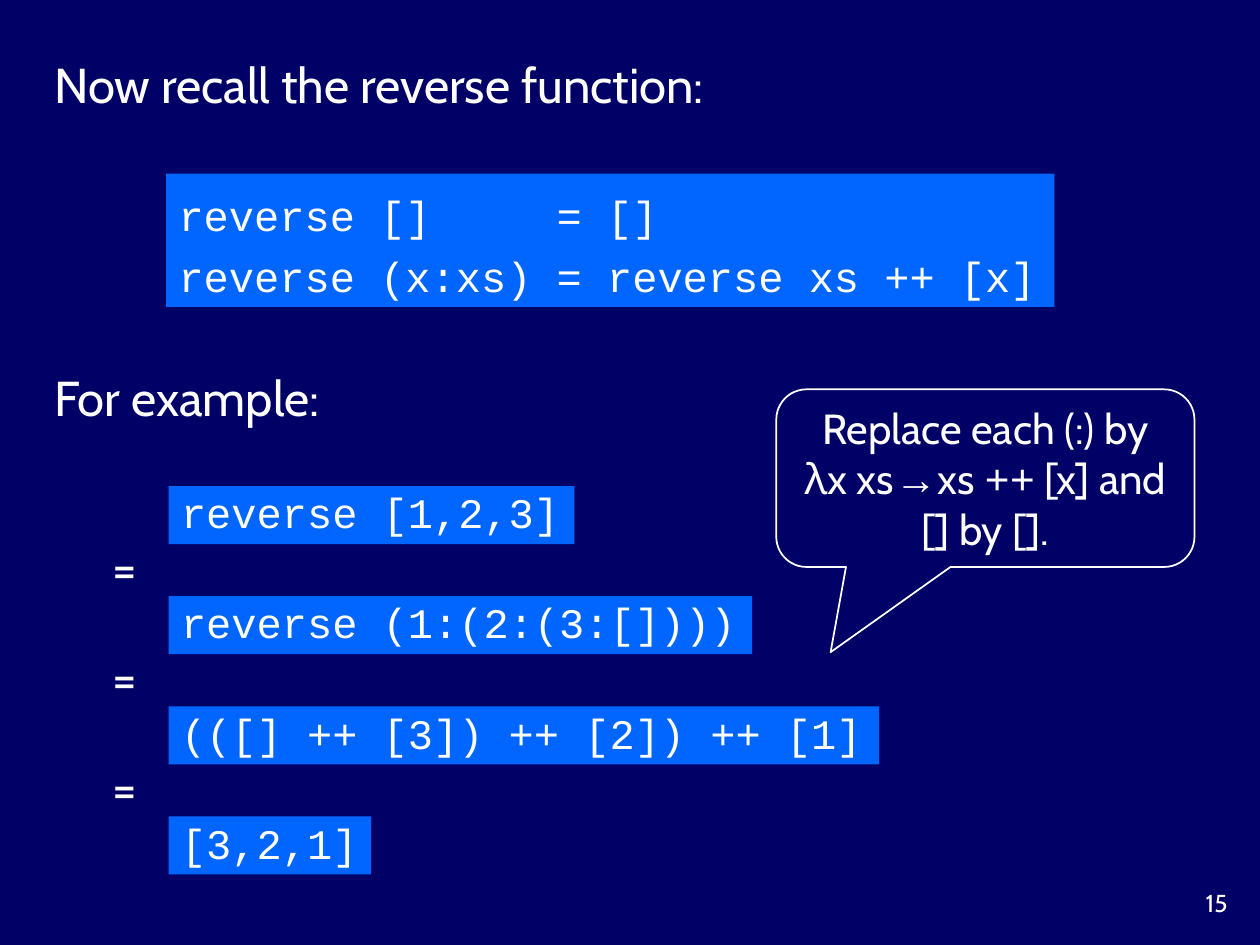
from pptx import Presentation
from pptx.dml.color import RGBColor
from pptx.enum.shapes import MSO_SHAPE as Shape
from pptx.enum.text import MSO_ANCHOR as Anchor, MSO_AUTO_SIZE as AutoSize, PP_ALIGN as Align
from pptx.util import Cm, Pt

NAVY = RGBColor(0x00, 0x00, 0x66)
BLUE = RGBColor(0x00, 0x66, 0xFF)
WHITE = RGBColor(0xFF, 0xFF, 0xFF)
PROSE, CODE = "Cabin", "Courier New"

CHARACTER_WIDTH, CODE_PADDING = 0.512, 0.5
STEP_TOP, STEP_PITCH = 9.8, 2.22
DEFINITION = ["reverse []     = []", "reverse (x:xs) = reverse xs ++ [x]"]
STEPS = ["reverse [1,2,3]", "reverse (1:(2:(3:[])))",
         "(([] ++ [3]) ++ [2]) ++ [1]", "[3,2,1]"]
HINT = [("Replace each (:) by λx xs ", PROSE), ("→", CODE), (" xs ", PROSE),
        ("++", CODE), (" [x] and [] by [].", PROSE)]


def apply_format(target, values):
    for name, value in values.items():
        setattr(target, name, value)


def write_text(shape, lines, size, align=Align.LEFT, spacing=1.0, wrap=False,
               anchor=Anchor.MIDDLE, auto_size=AutoSize.SHAPE_TO_FIT_TEXT):
    """Fill a shape with lines, each a list of (text, font name) runs."""
    frame = shape.text_frame
    apply_format(frame, {"word_wrap": wrap, "vertical_anchor": anchor,
                         "auto_size": auto_size})
    for index, runs in enumerate(lines):
        paragraph = frame.add_paragraph() if index else frame.paragraphs[0]
        apply_format(paragraph, {"alignment": align, "line_spacing": spacing})
        for text, font_name in runs:
            run = paragraph.add_run()
            run.text = text
            apply_format(run.font, {"name": font_name, "size": Pt(size)})
            run.font.color.rgb = WHITE


def add_label(slide, text, left, top, width, height=1.45, size=28, **layout):
    box = slide.shapes.add_textbox(Cm(left), Cm(top), Cm(width), Cm(height))
    write_text(box, [[(text, PROSE)]], size, **layout)


def add_code(slide, lines, left, top, height, spacing):
    """Add a blue code box as wide as its longest line."""
    width = max(map(len, lines)) * CHARACTER_WIDTH + CODE_PADDING
    box = slide.shapes.add_shape(Shape.RECTANGLE, Cm(left), Cm(top), Cm(width), Cm(height))
    box.shadow.inherit = False
    box.fill.solid()
    box.fill.fore_color.rgb = BLUE
    box.line.fill.background()
    write_text(box, [[(line, CODE)] for line in lines], 24, spacing=spacing)


def add_derivation(slide):
    for index, step in enumerate(STEPS):
        top = STEP_TOP + index * STEP_PITCH
        add_code(slide, [step], 3.4, top, 1.17, 0.9)
        if index:
            add_label(slide, "=", 1.9, top - 1.32, 1.22, align=Align.CENTER)


def add_callout(slide):
    callout = slide.shapes.add_shape(Shape.ROUNDED_RECTANGULAR_CALLOUT,
                                     Cm(15.65), Cm(7.85), Cm(8.43), Cm(3.58))
    callout.shadow.inherit = False
    for index, value in enumerate((-0.37, 0.98, 0.17)):
        callout.adjustments[index] = value
    callout.fill.background()
    callout.line.color.rgb = WHITE
    callout.line.width = Pt(1)
    write_text(callout, [HINT], 24, align=Align.CENTER, wrap=True)


def main():
    presentation = Presentation()
    apply_format(presentation, {"slide_width": Cm(25.4), "slide_height": Cm(19.05)})
    slide = presentation.slides.add_slide(presentation.slide_layouts[6])
    slide.background.fill.solid()
    slide.background.fill.fore_color.rgb = NAVY

    add_label(slide, "15", 23.3, 17.78, 1.7, 0.84, size=14, align=Align.RIGHT,
              wrap=True, anchor=Anchor.TOP, auto_size=AutoSize.NONE)
    add_label(slide, "Now recall the reverse function:", 0.85, 0.97, 22.78, wrap=True)
    add_code(slide, DEFINITION, 3.35, 3.5, 2.69, 1.2)
    add_label(slide, "For example:", 0.85, 7.27, 6.22)
    add_derivation(slide)
    add_callout(slide)
    presentation.save("out.pptx")


if __name__ == "__main__":
    main()
